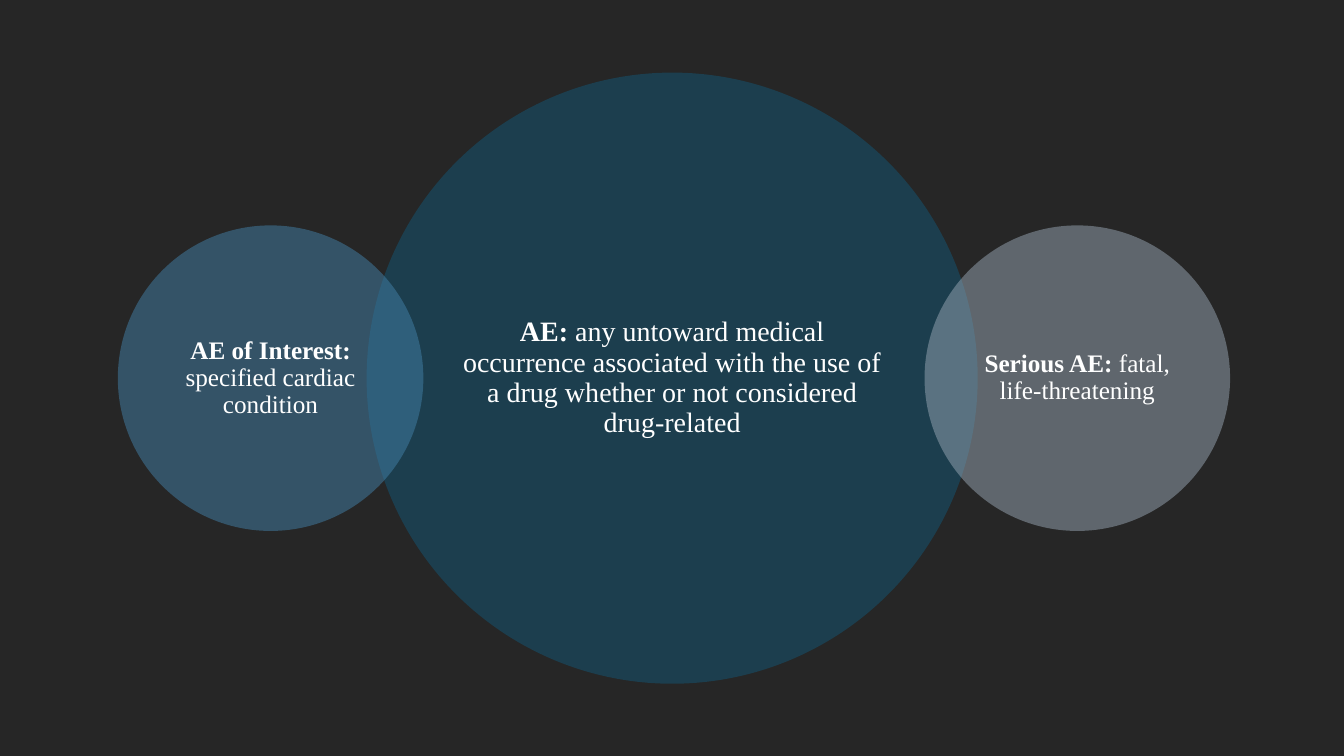
from lxml.etree import SubElement
from pptx import Presentation
from pptx.dml.color import RGBColor
from pptx.enum.shapes import MSO_SHAPE
from pptx.enum.text import MSO_ANCHOR, PP_ALIGN
from pptx.oxml.ns import qn
from pptx.util import Cm, Pt

COLORS = {
    "background": "262626",
    "event": "135776",
    "interest": "4281A9",
    "serious": "98A7B4",
    "text": "FFFFFF",
}
FONT = "Times New Roman"
EVENT_DIAMETER = 15.4
CENTER_Y = 9.53
CIRCLES = [
    ("event", 16.94, EVENT_DIAMETER, 20, "AE:",
     " any untoward medical occurrence associated with the use of a drug "
     "whether or not considered drug-related"),
    ("interest", 6.82, EVENT_DIAMETER / 2, 18, "AE of Interest: ",
     "specified cardiac condition"),
    ("serious", 27.15, EVENT_DIAMETER / 2, 18, "Serious AE: ",
     "fatal, life-threatening"),
]


def set_fill(fill, color, opacity=100):
    """Fill with a solid colour at the given opacity in percent."""
    fill.solid()
    fill.fore_color.rgb = RGBColor.from_string(COLORS[color])
    if opacity < 100:
        color_element = fill._xPr.find(qn("a:solidFill"))[0]
        SubElement(color_element, qn("a:alpha"), val=str(opacity * 1000))


def write_definition(text_frame, term, meaning, size):
    """Write a bold term followed by its meaning, centred in the frame."""
    text_frame.word_wrap = True
    text_frame.vertical_anchor = MSO_ANCHOR.MIDDLE
    text_frame.margin_left = text_frame.margin_right = Cm(0.08)
    text_frame.margin_top = text_frame.margin_bottom = Cm(0.08)
    paragraph = text_frame.paragraphs[0]
    paragraph.alignment = PP_ALIGN.CENTER
    paragraph.line_spacing = 0.9
    for text, bold in ((term, True), (meaning, False)):
        run = paragraph.add_run()
        run.text = text
        run.font.name = FONT
        run.font.size = Pt(size)
        run.font.bold = bold
        run.font.color.rgb = RGBColor.from_string(COLORS["text"])


def add_circle(slide, left, top, diameter, color, size, term, meaning):
    """Draw one translucent circle holding its definition."""
    shape = slide.shapes.add_shape(
        MSO_SHAPE.OVAL, Cm(left), Cm(top), Cm(diameter), Cm(diameter))
    shape.shadow.inherit = False
    shape.line.fill.background()
    set_fill(shape.fill, color, opacity=50)
    write_definition(shape.text_frame, term, meaning, size)


def build_venn_slide(presentation):
    """Add the slide with the overlapping adverse event circles."""
    slide = presentation.slides.add_slide(presentation.slide_layouts[6])
    set_fill(slide.background.fill, "background")
    for color, center_x, diameter, size, term, meaning in CIRCLES:
        add_circle(slide, center_x - diameter / 2, CENTER_Y - diameter / 2,
                   diameter, color, size, term, meaning)


def main():
    """Build and save the presentation."""
    presentation = Presentation()
    presentation.slide_width = Cm(33.87)
    presentation.slide_height = Cm(19.05)
    build_venn_slide(presentation)
    presentation.save("out.pptx")


if __name__ == "__main__":
    main()
